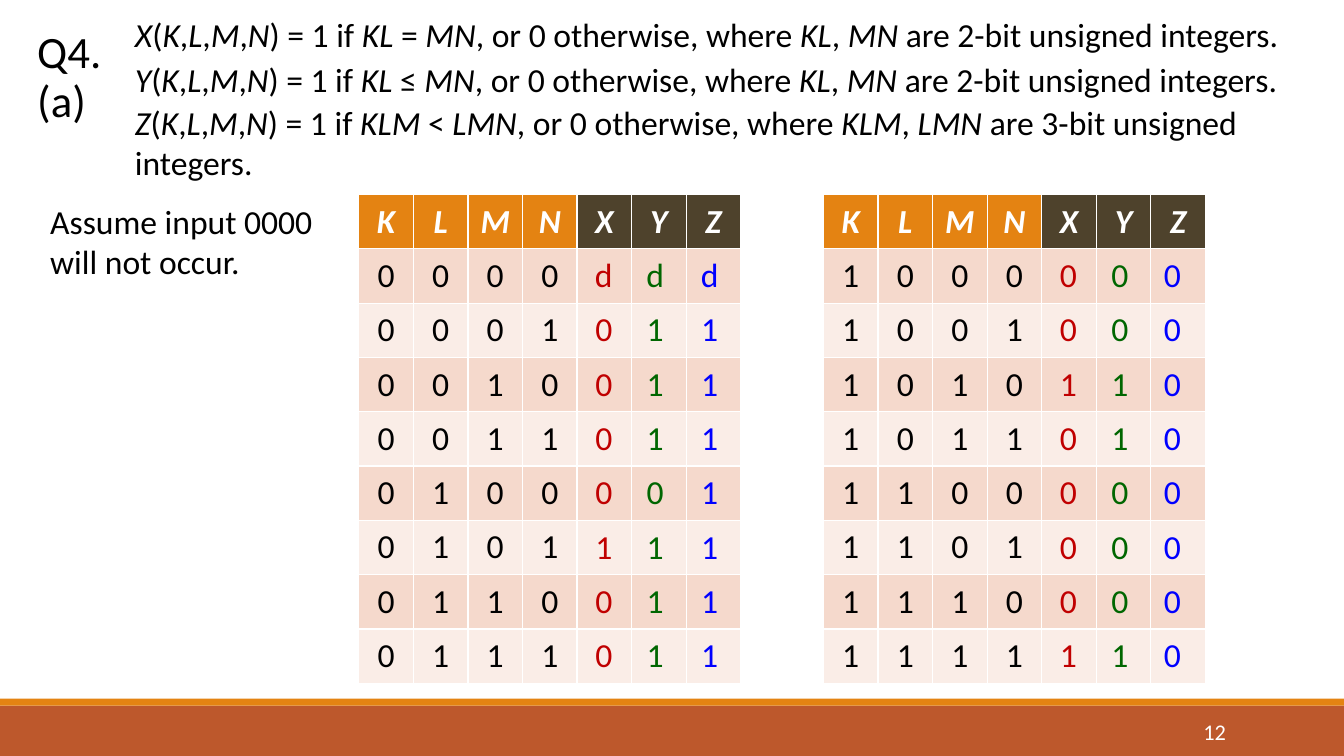
from dataclasses import dataclass

import pptx
import pptx.dml.color
import pptx.enum.shapes
import pptx.enum.text
import pptx.util
from pptx.dml.color import RGBColor
from pptx.enum.text import MSO_ANCHOR, MSO_AUTO_SIZE, PP_ALIGN
from pptx.util import Pt


@dataclass(frozen=True)
class Theme:
    font: str = "Calibri"
    title_size: float = 32
    body_size: float = 24
    number_size: float = 16
    black: str = "000000"
    white: str = "FFFFFF"
    orange: str = "E48312"
    rust: str = "BD582C"
    brown: str = "4E422C"
    bands: tuple[str, str] = ("F5D9CC", "FAEDE7")
    outputs: tuple[str, str, str] = ("C00000", "006600", "0000FF")


@dataclass(frozen=True)
class Area:
    left: float
    top: float
    width: float
    height: float

    def lengths(self) -> tuple[Pt, Pt, Pt, Pt]:
        return Pt(self.left), Pt(self.top), Pt(self.width), Pt(self.height)


@dataclass(frozen=True)
class TruthTable:
    left: float
    first_input: int
    outputs: tuple[str, str, str]
    output_lefts: tuple[float, float, float]


@dataclass(frozen=True)
class Formula:
    top: float
    height: float
    text: str


THEME = Theme()
PAGE_WIDTH, PAGE_HEIGHT = 960, 540
TABLE_TOP, COLUMN_WIDTH, ROW_HEIGHT = 139, 39, 38.8
INPUTS, OUTPUTS, ROWS = "KLMN", "XYZ", 8

TRUTH_TABLES = (
    TruthTable(256.3, 0, ("d0000100", "d1110111", "d1111111"), (406.8, 443.5, 482.4)),
    TruthTable(588.2, 8, ("00100001", "00110001", "00000000"), (738.7, 775.4, 812.9)),
)

# Text between asterisks is italic.
FORMULAS = (
    Formula(6.5, 36, "*X*(*K*,*L*,*M*,*N*) = 1 if *KL* = *MN*, or 0 otherwise, "
                     "where *KL*, *MN* are 2-bit unsigned integers."),
    Formula(38.2, 36, "*Y*(*K*,*L*,*M*,*N*) = 1 if *KL *≤ *MN*, or 0 otherwise, "
                      "where *KL*, *MN* are 2-bit unsigned integers."),
    Formula(69.1, 65.5, "*Z*(*K*,*L*,*M*,*N*) = 1 if *KLM *< *LMN*, or 0 otherwise, "
                        "where *KLM*, *LMN* are 3-bit unsigned integers."),
)


def add_span(para, text: str, color: str = THEME.black, size: float = THEME.body_size,
             bold: bool = False, italic: bool = False) -> None:
    span = para.add_run()
    span.text = text
    span.font.name = THEME.font
    span.font.size = Pt(size)
    span.font.bold = bold
    span.font.italic = italic
    span.font.color.rgb = RGBColor.from_string(color)


def add_box(page, area: Area):
    """Add a wrapping text box that grows with its text; return its frame."""
    frame = page.shapes.add_textbox(*area.lengths()).text_frame
    frame.word_wrap = True
    frame.auto_size = MSO_AUTO_SIZE.SHAPE_TO_FIT_TEXT
    return frame


def add_bar(page, area: Area, color: str) -> None:
    bar = page.shapes.add_shape(
        pptx.enum.shapes.MSO_SHAPE.RECTANGLE, *area.lengths())
    bar.shadow.inherit = False
    bar.fill.solid()
    bar.fill.fore_color.rgb = RGBColor.from_string(color)
    bar.line.fill.background()


def set_title(page) -> None:
    title = page.shapes.title
    title.left, title.top, title.width, title.height = Area(19.4, 18, 70, 84.2).lengths()
    frame = title.text_frame
    frame.word_wrap = True
    frame.auto_size = MSO_AUTO_SIZE.NONE
    frame.vertical_anchor = MSO_ANCHOR.TOP
    para = frame.paragraphs[0]
    para.alignment = PP_ALIGN.LEFT
    para.line_spacing = 0.9
    add_span(para, "Q4. (a)", size=THEME.title_size)


def add_formula(page, formula: Formula) -> None:
    para = add_box(page, Area(89.3, formula.top, 833, formula.height)).paragraphs[0]
    for index, part in enumerate(formula.text.split("*")):
        if part:
            add_span(para, part, italic=index % 2 == 1)


def fill_cell(cell, color: str) -> None:
    cell.fill.solid()
    cell.fill.fore_color.rgb = RGBColor.from_string(color)
    cell.vertical_anchor = MSO_ANCHOR.MIDDLE
    cell.text_frame.paragraphs[0].alignment = PP_ALIGN.CENTER


def add_input_grid(page, truth: TruthTable) -> None:
    """Add the table with its headings and counted inputs; output cells stay clear."""
    names = INPUTS + OUTPUTS
    area = Area(truth.left, TABLE_TOP, COLUMN_WIDTH * len(names), ROW_HEIGHT * (ROWS + 1))
    grid = page.shapes.add_table(ROWS + 1, len(names), *area.lengths()).table
    for column in grid.columns:
        column.width = Pt(COLUMN_WIDTH)
    for row in grid.rows:
        row.height = Pt(ROW_HEIGHT)
    for index, name in enumerate(names):
        cell = grid.cell(0, index)
        fill_cell(cell, THEME.orange if name in INPUTS else THEME.brown)
        add_span(cell.text_frame.paragraphs[0], name, THEME.white, bold=True, italic=True)
    for row in range(ROWS):
        bits = f"{truth.first_input + row:04b}"
        for index in range(len(names)):
            cell = grid.cell(row + 1, index)
            fill_cell(cell, THEME.bands[row % 2])
            if index < len(bits):
                add_span(cell.text_frame.paragraphs[0], bits[index])


def add_output_column(page, left: float, values: str, color: str) -> None:
    frame = add_box(page, Area(left, 177.8, 49, 310.3))
    for index, value in enumerate(values):
        para = frame.add_paragraph() if index else frame.paragraphs[0]
        para.alignment = PP_ALIGN.CENTER
        para.space_after = Pt(10)
        add_span(para, value, color)


def add_page_number(page) -> None:
    frame = add_box(page, Area(779.8, 508.3, 103, 28.8))
    frame.auto_size = MSO_AUTO_SIZE.NONE
    frame.vertical_anchor = MSO_ANCHOR.MIDDLE
    para = frame.paragraphs[0]
    para.alignment = PP_ALIGN.RIGHT
    add_span(para, "12", THEME.white, THEME.number_size)


def main() -> None:
    deck = pptx.Presentation()
    deck.slide_width, deck.slide_height = Pt(PAGE_WIDTH), Pt(PAGE_HEIGHT)
    page = deck.slides.add_slide(deck.slide_layouts.get_by_name("Title Only"))

    add_bar(page, Area(0, 504, PAGE_WIDTH, 36), THEME.rust)
    add_bar(page, Area(0, 499, PAGE_WIDTH, 5), THEME.orange)
    set_title(page)
    for truth in TRUTH_TABLES:
        add_input_grid(page, truth)
        for left, values, color in zip(truth.output_lefts, truth.outputs, THEME.outputs):
            add_output_column(page, left, values, color)
    for formula in FORMULAS:
        add_formula(page, formula)
    add_page_number(page)
    assumption = add_box(page, Area(28.8, 139.7, 213.8, 65.5))
    add_span(assumption.paragraphs[0], "Assume input 0000 will not occur.")

    deck.save("out.pptx")


if __name__ == "__main__":
    main()
